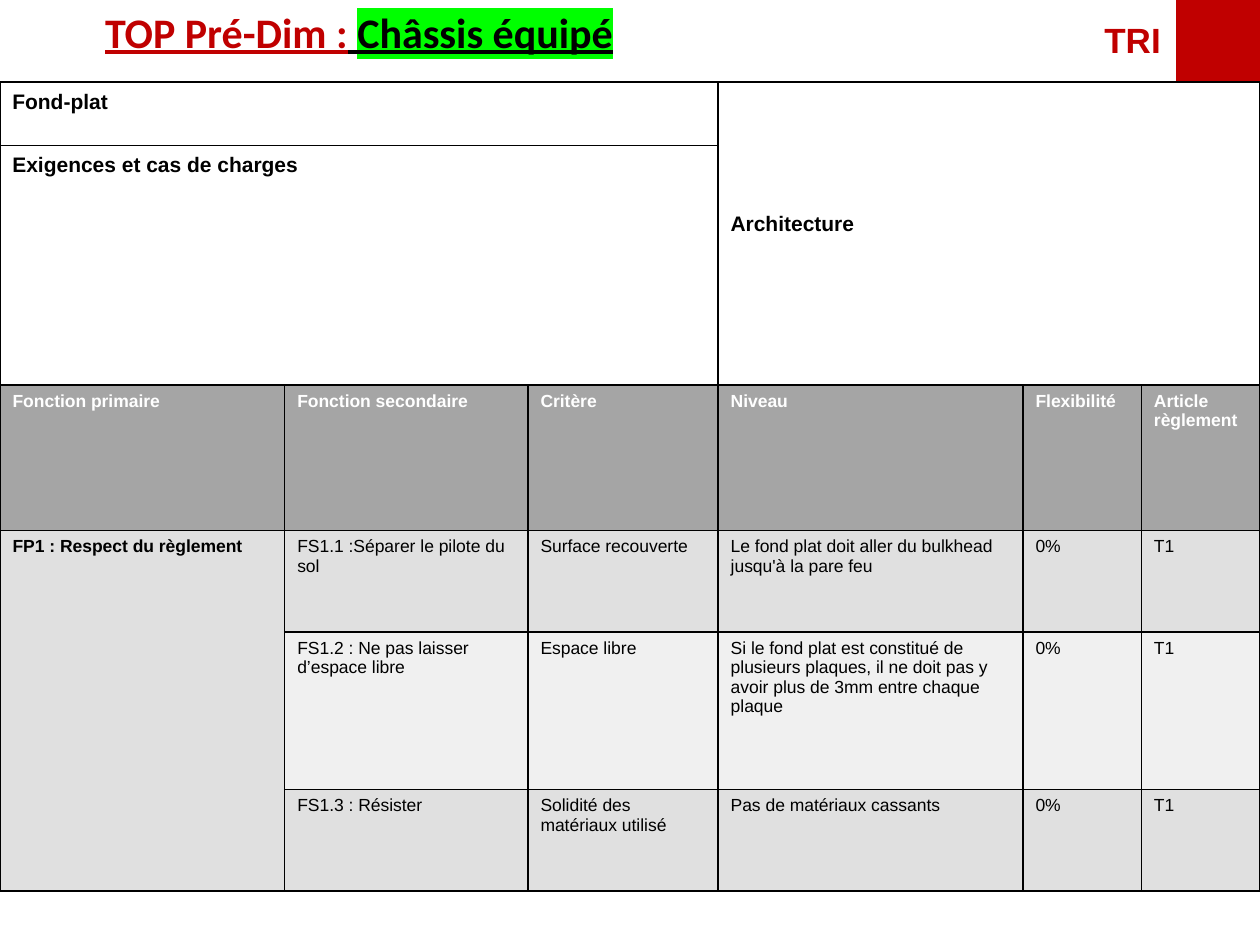
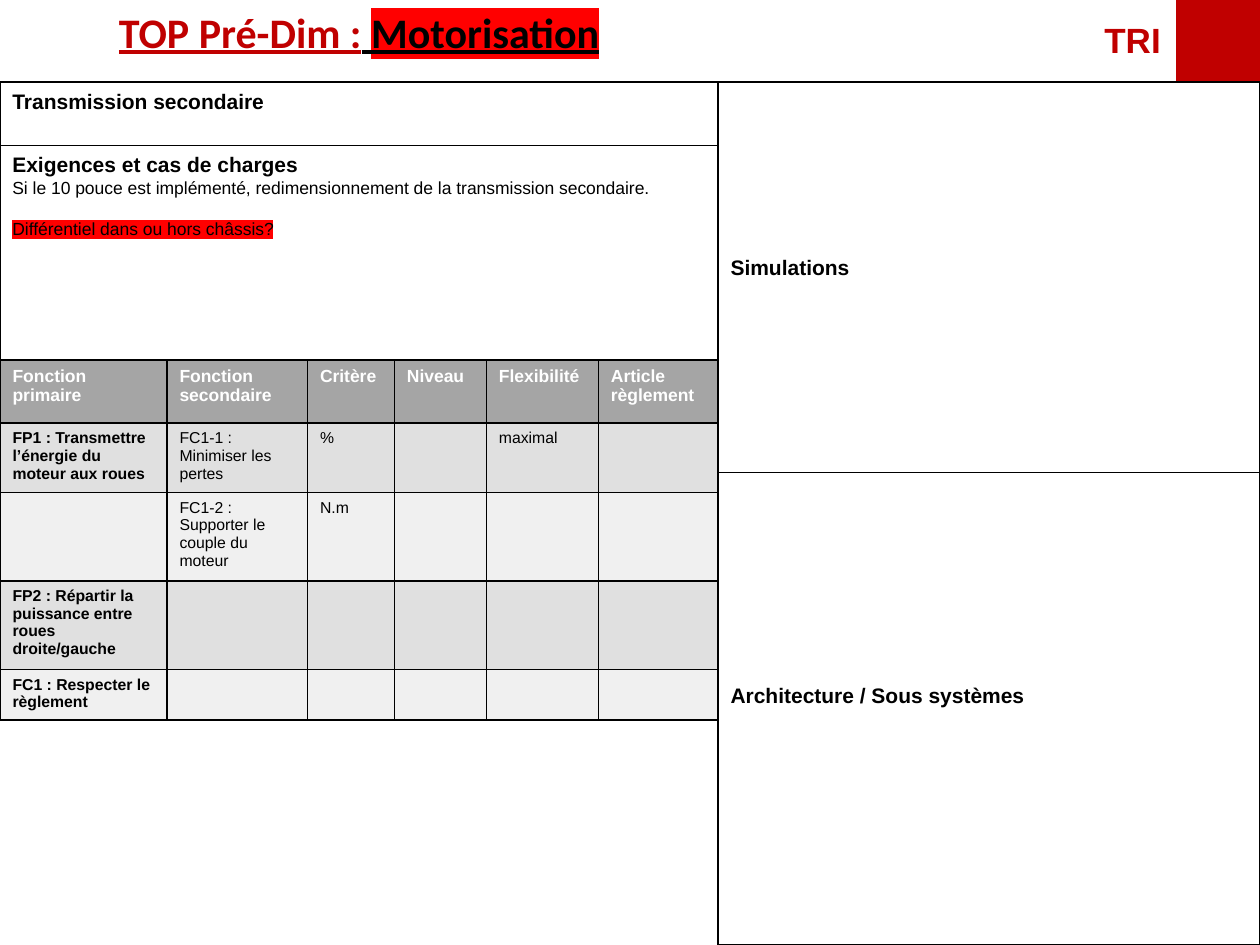
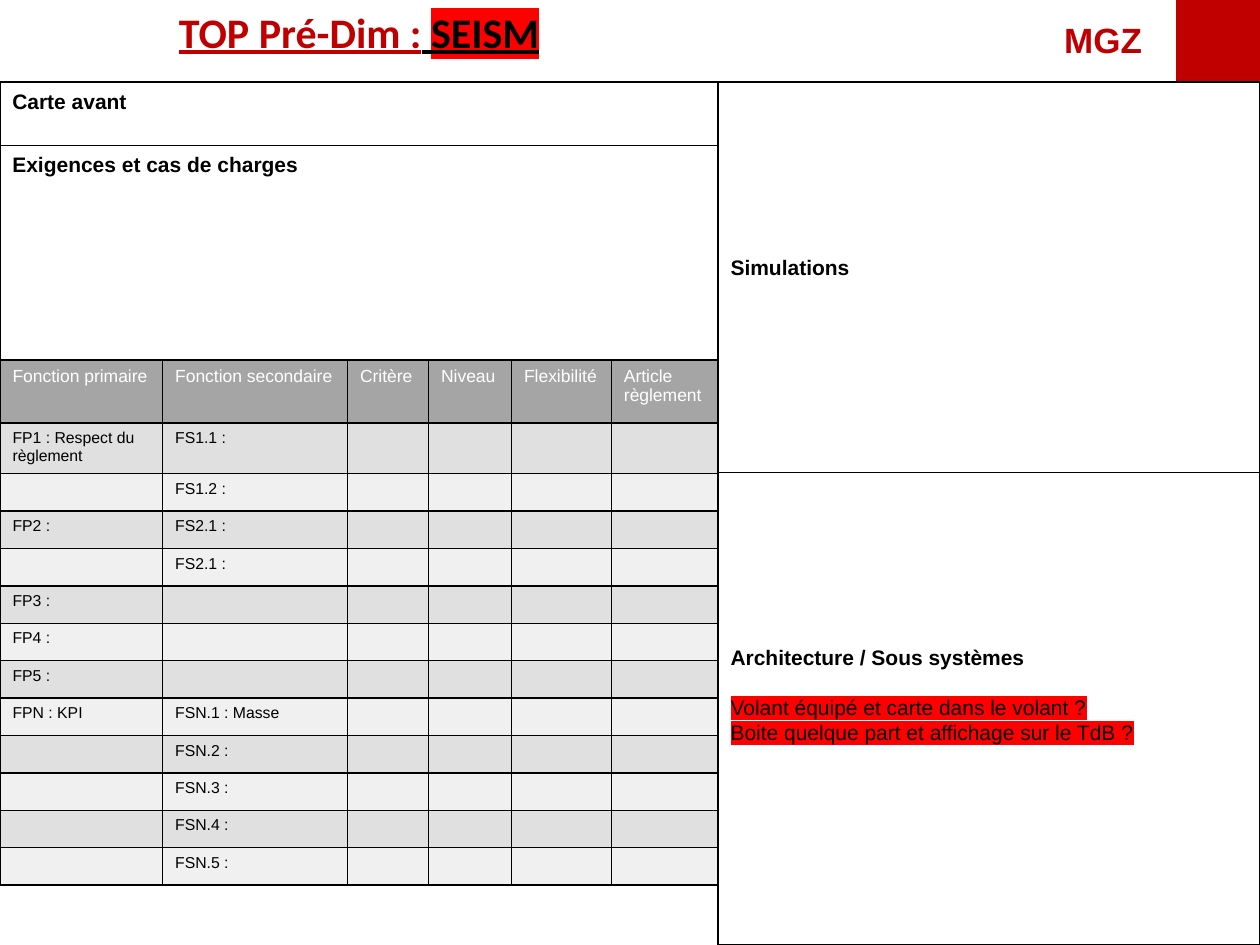
from itertools import product

from lxml.etree import SubElement
from pptx import Presentation
from pptx.dml.color import RGBColor
from pptx.enum.shapes import MSO_SHAPE
from pptx.enum.text import MSO_ANCHOR, PP_ALIGN
from pptx.oxml import parse_xml
from pptx.oxml.ns import nsdecls, qn
from pptx.util import Pt

RED, BLACK, WHITE = "C00000", "000000", "FFFFFF"
ALERT, GOOD = "FF0000", "00FF00"
HEAD, BANDS = "A5A5A5", ("E0E0E0", "F0F0F0")
LABELS = ["Fonction primaire", "Fonction secondaire", "Critère", "Niveau",
          "Flexibilité", "Article règlement"]
WIDTH, HEIGHT = 720, 540
SPLIT = 410.4   # border between the left and right columns
TOP = 46.8      # bottom of the title band
LOAD = 83.2     # top of the load case box
MID = 270       # border between the two right boxes


def color(code):
    return RGBColor.from_string(code)


class Deck:
    """Holds the shared style and the current slide."""

    def __init__(self):
        self.prs = Presentation()
        self.prs.slide_width = Pt(WIDTH)
        self.prs.slide_height = Pt(HEIGHT)

    def start(self, subject, mark, team, left):
        """Add a slide with its title, team name and red corner."""
        self.slide = self.prs.slides.add_slide(self.prs.slide_layouts[6])
        para = self.label(0, 0, SPLIT, 36)
        para.alignment = PP_ALIGN.CENTER
        style = dict(size=24, bold=True, line=True, font="Calibri")
        self.run(para, "TOP Pré-Dim :", tint=RED, **style)
        self.run(para, " ", **style)
        self.run(para, subject, mark=mark, **style)
        para = self.label(left, 7.2, 672 - left, 31.5)
        self.run(para, team, 20, True, RED)
        corner = self.rect(672, 0, 48, TOP)
        corner.fill.solid()
        corner.fill.fore_color.rgb = color(RED)
        corner.line.fill.background()

    def label(self, *place):
        """Add a text box and return its first paragraph."""
        frame = self.slide.shapes.add_textbox(*map(Pt, place)).text_frame
        frame.word_wrap = True
        return frame.paragraphs[0]

    def rect(self, *place):
        shape = self.slide.shapes.add_shape(
            MSO_SHAPE.RECTANGLE, *map(Pt, place))
        shape.shadow.inherit = False
        return shape

    def run(self, para, text, size=10, bold=False, tint=BLACK, mark=None,
            line=None, font="Arial"):
        run = para.add_run()
        run.text = text
        face = run.font
        face.size, face.bold, face.underline = Pt(size), bold, line
        face.name = font
        face.color.rgb = color(tint)
        if mark:
            fill = run._r.rPr.find(qn("a:solidFill"))
            fill.addnext(parse_xml(
                f'<a:highlight {nsdecls("a")}><a:srgbClr val="{mark}"/>'
                '</a:highlight>'))

    def box(self, place, head, notes=(), lift=None):
        """Add an outlined box; lift centres the text that much higher.

        Each note is (text, size, mark, space before).
        """
        shape = self.rect(*place)
        shape.fill.background()
        shape.line.color.rgb = color(BLACK)
        shape.line.width = Pt(1)
        frame = shape.text_frame
        frame.word_wrap = True
        frame.vertical_anchor = MSO_ANCHOR.MIDDLE if lift else MSO_ANCHOR.TOP
        if lift:
            frame.margin_bottom = Pt(3.6 + lift)
        para = frame.paragraphs[0]
        para.alignment = PP_ALIGN.LEFT
        self.run(para, head, 12, True)
        for text, size, mark, gap in notes:
            para = frame.add_paragraph()
            para.alignment = PP_ALIGN.LEFT
            para.space_before = Pt(gap)
            self.run(para, text, size, mark=mark)

    def left(self, part, end, notes=()):
        """Add the part name and the load case box, which stops at end."""
        self.box((0, TOP, SPLIT, LOAD - TOP), part)
        self.box((0, LOAD, SPLIT, end - LOAD),
                 "Exigences et cas de charges", notes)

    def right(self, notes=()):
        wide = WIDTH - SPLIT
        self.box((SPLIT, TOP, wide, MID - TOP), "Simulations", lift=11.5)
        self.box((SPLIT, MID, wide, HEIGHT - MID),
                 "Architecture / Sous systèmes", notes, lift=16)

    def table(self, top, cols, highs, rows, size, bold=True):
        """Add the function table; short rows end with empty cells."""
        rows = [LABELS] + rows
        grid = self.slide.shapes.add_table(
            len(rows), len(cols), Pt(0), Pt(top), Pt(sum(cols)),
            Pt(sum(highs))).table
        grid.first_row = grid.horz_banding = False
        for col, wide in zip(grid.columns, cols):
            col.width = Pt(wide)
        for row, high in zip(grid.rows, highs):
            row.height = Pt(high)
        for r, c in product(range(len(rows)), range(len(cols))):
            text = rows[r][c] if c < len(rows[r]) else ""
            cell = grid.cell(r, c)
            self.edge(cell)
            cell.fill.solid()
            cell.fill.fore_color.rgb = color(BANDS[(r - 1) % 2] if r else HEAD)
            para = cell.text_frame.paragraphs[0]
            if text:
                self.run(para, text, size if r else 10,
                         bold and (r == 0 or c == 0), BLACK if r else WHITE)
            else:
                SubElement(para._p, qn("a:endParaRPr"), sz=str(size * 100))
        return grid

    def edge(self, cell):
        """Draw a thin black border on all four sides."""
        props = cell._tc.get_or_add_tcPr()
        for side in "LRTB":
            props.append(parse_xml(
                f'<a:ln{side} {nsdecls("a")} w="{Pt(1)}"><a:solidFill>'
                f'<a:srgbClr val="{BLACK}"/></a:solidFill></a:ln{side}>'))


def floor(deck):
    deck.start("Châssis équipé", GOOD, "TRI", 624)
    end = 220.2
    deck.left("Fond-plat", end)
    grid = deck.table(
        end, [162.7, 139, 108.7, 174.2, 67.7, 67.7], [83, 58, 90, 58], [
            ["FP1 : Respect du règlement", "FS1.1 :Séparer le pilote du sol",
             "Surface recouverte",
             "Le fond plat doit aller du bulkhead jusqu'à la pare feu",
             "0%", "T1"],
            ["", "FS1.2 : Ne pas laisser d’espace libre", "Espace libre",
             "Si le fond plat est constitué de plusieurs plaques, il ne doit "
             "pas y avoir plus de 3mm entre chaque plaque", "0%", "T1"],
            ["", "FS1.3 : Résister", "Solidité des matériaux utilisé",
             "Pas de matériaux cassants", "0%", "T1"],
        ], 10)
    grid.cell(1, 0).merge(grid.cell(3, 0))
    deck.box((SPLIT, TOP, WIDTH - SPLIT, end - TOP), "Architecture",
             lift=11.5)


def drive(deck):
    deck.start("Motorisation", ALERT, "TRI", 624)
    deck.left("Transmission secondaire", 205.8, [
        ("Si le 10 pouce est implémenté, redimensionnement de la "
         "transmission secondaire.", 10, None, 0),
        ("Différentiel dans ou hors châssis?", 10, ALERT, 11.5),
    ])
    deck.right()
    deck.table(
        205.8, [95.4, 80.3, 49.7, 52.6, 64, 68.4],
        [36, 37.6, 47.5, 47.5, 27.5], [
            ["FP1 : Transmettre l’énergie du moteur aux roues",
             "FC1-1 : Minimiser les pertes", "%", "", "maximal"],
            ["", "FC1-2 : Supporter le couple du moteur", "N.m"],
            ["FP2 : Répartir la puissance entre roues droite/gauche"],
            ["FC1 : Respecter le règlement"],
        ], 9)


def board(deck):
    deck.start("SEISM", ALERT, "MGZ", 601)
    deck.left("Carte avant", 220.2)
    deck.right([
        ("Volant équipé et carte dans le volant ?", 12, ALERT, 14),
        ("Boite quelque part et affichage sur le TdB ?", 12, ALERT, 0),
    ])
    rows = [["FP1 : Respect du règlement", "FS1.1 :"], ["", "FS1.2 :"],
            ["FP2 :", "FS2.1 :"], ["", "FS2.1 :"],
            ["FP3 :"], ["FP4 :"], ["FP5 :"], ["FPN : KPI", "FSN.1 : Masse"]]
    rows += [["", f"FSN.{n} :"] for n in range(2, 6)]
    deck.table(205.8, [92.9, 105.7, 46.3, 47.4, 57.1, 61],
               [36, 27.5] + [21.4] * 11, rows, 9, bold=False)


def main():
    deck = Deck()
    for build in (floor, drive, board):
        build(deck)
    deck.prs.save("out.pptx")


if __name__ == "__main__":
    main()
